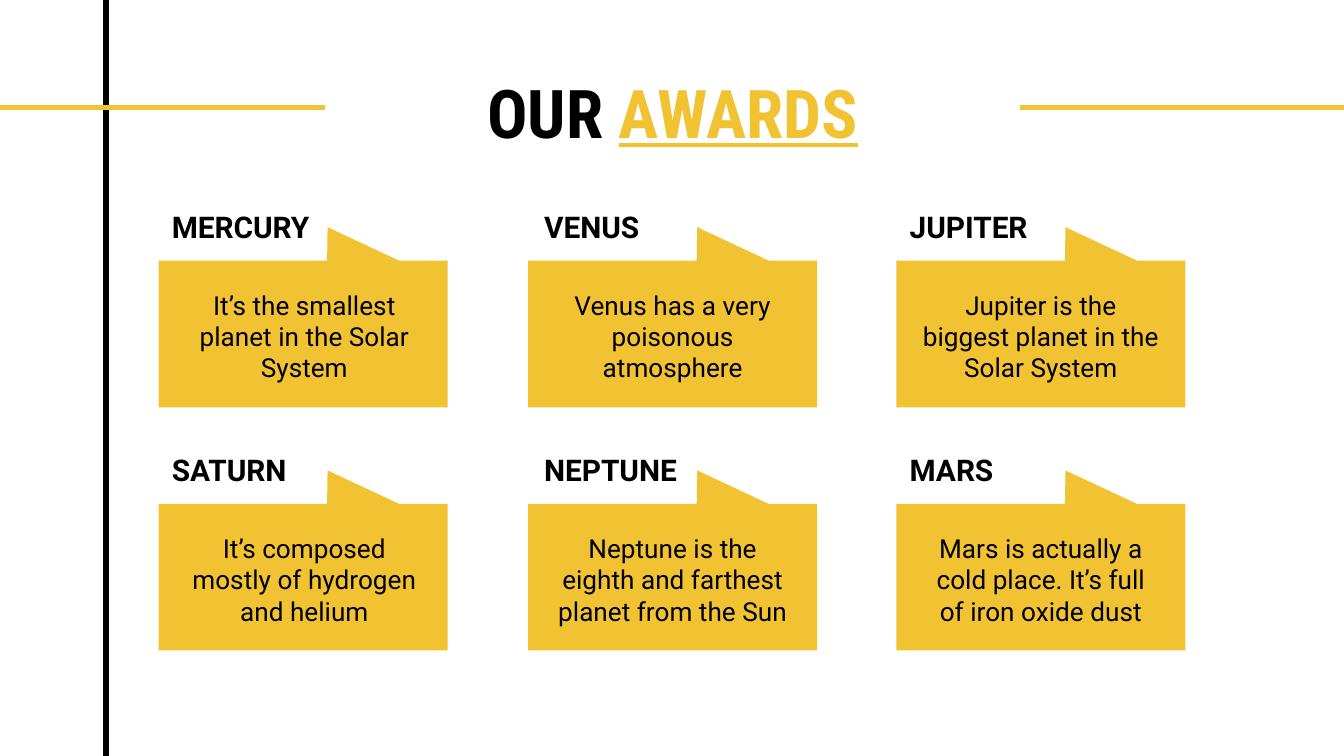
from lxml import etree
from pptx import Presentation
from pptx.dml.color import RGBColor
from pptx.enum.shapes import MSO_CONNECTOR, MSO_SHAPE
from pptx.enum.text import MSO_ANCHOR, PP_ALIGN
from pptx.oxml.ns import qn
from pptx.util import Inches, Pt

STRAIGHT = MSO_CONNECTOR.STRAIGHT
RECTANGLE, CALLOUT = MSO_SHAPE.RECTANGLE, MSO_SHAPE.RECTANGULAR_CALLOUT
TOP = MSO_ANCHOR.TOP
LEFT, CENTER = PP_ALIGN.LEFT, PP_ALIGN.CENTER

BLACK = RGBColor(0x00, 0x00, 0x00)
WHITE = RGBColor(0xFF, 0xFF, 0xFF)
YELLOW = RGBColor(0xF1, 0xC2, 0x32)

TITLE = [("OUR ", BLACK, False), ("AWARDS", YELLOW, True)]
AWARDS = [
    [("MERCURY", "It’s the smallest planet in the Solar System"),
     ("VENUS", "Venus has a very poisonous atmosphere"),
     ("JUPITER", "Jupiter is the biggest planet in the Solar System")],
    [("SATURN", "It’s composed mostly of hydrogen and helium"),
     ("NEPTUNE", "Neptune is the eighth and farthest planet from the Sun"),
     ("MARS", "Mars is actually a cold place. It’s full of iron oxide dust")],
]

WIDTH = 10
HEIGHT = WIDTH * 9 / 16
CARD_LEFTS = [1.18, 3.93, 6.67]
HEADING_LEFTS = [1.18, 3.95, 6.67]
BODY_LEFTS = [1.28, 4.02, 6.76]
CARD_TOP, ROW_STEP = 1.94, 1.81
HEADING_RISE, BODY_DROP = 0.49, 0.11


def add_rule(slide, start, end, color):
    rule = slide.shapes.add_connector(STRAIGHT, *map(Inches, start + end))
    rule.line.color.rgb = color
    rule.line.width = Pt(3)
    etree.SubElement(rule._element.spPr, qn("a:effectLst"))


def add_block(slide, kind, area, color):
    block = slide.shapes.add_shape(kind, *map(Inches, area))
    block.shadow.inherit = False
    block.fill.solid()
    block.fill.fore_color.rgb = color
    block.line.fill.background()
    return block


def add_text(slide, area, spans, size, font="Roboto", bold=False, align=LEFT):
    """Add one paragraph made of (text, color, underlined) spans."""
    box = slide.shapes.add_textbox(*map(Inches, area))
    frame = box.text_frame
    frame.word_wrap = True
    frame.vertical_anchor = TOP
    frame.margin_left = frame.margin_right = Inches(0.1)
    frame.margin_top = frame.margin_bottom = Inches(0.1)
    para = frame.paragraphs[0]
    para.alignment = align
    para.line_spacing = 1.0
    for text, color, underlined in spans:
        span = para.add_run()
        span.text = text
        span.font.name = font
        span.font.size = Pt(size)
        span.font.bold = bold
        span.font.underline = underlined
        span.font.color.rgb = color


def add_award(slide, row, column, heading, body):
    top = CARD_TOP + row * ROW_STEP
    card = add_block(slide, CALLOUT, (CARD_LEFTS[column], top, 2.15, 1.09), YELLOW)
    card.adjustments[0] = 0.085
    card.adjustments[1] = -0.729
    add_text(slide, (HEADING_LEFTS[column], top - HEADING_RISE, 2.08, 0.52),
             [(heading, BLACK, False)], 16, bold=True)
    add_text(slide, (BODY_LEFTS[column], top + BODY_DROP, 1.97, 0.84),
             [(body, BLACK, False)], 14, align=CENTER)


def main():
    deck = Presentation()
    deck.slide_width, deck.slide_height = Inches(WIDTH), Inches(HEIGHT)
    slide = deck.slides.add_slide(deck.slide_layouts[6])

    add_rule(slide, (0.79, 0), (0.79, HEIGHT), BLACK)
    add_rule(slide, (WIDTH, 0.8), (0, 0.8), YELLOW)
    add_block(slide, RECTANGLE, (2.42, 0.09, 5.17, 1.13), WHITE)
    add_text(slide, (2.7, 0.43, 4.61, 0.77), TITLE, 36,
             font="Roboto Condensed", bold=True, align=CENTER)

    for row, awards in enumerate(AWARDS):
        for column, (heading, body) in enumerate(awards):
            add_award(slide, row, column, heading, body)

    deck.save("out.pptx")


if __name__ == "__main__":
    main()
